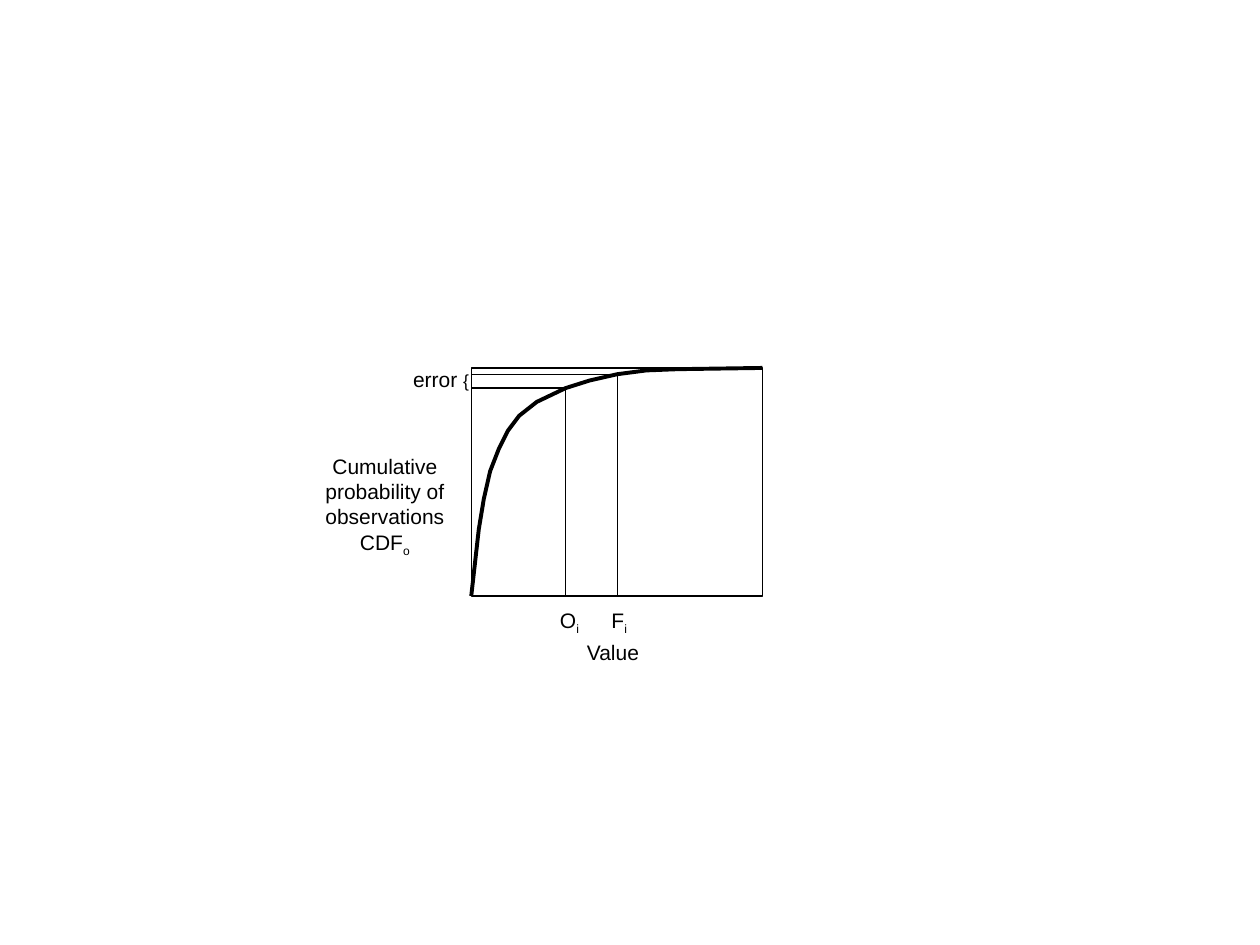
from lxml import etree
from pptx import Presentation
from pptx.dml.color import RGBColor
from pptx.enum.shapes import MSO_CONNECTOR, MSO_SHAPE
from pptx.enum.text import MSO_AUTO_SIZE, PP_ALIGN
from pptx.oxml.ns import qn
from pptx.util import Inches, Pt

LEFT, TOP, RIGHT, BOTTOM = 3.74, 2.92, 6.05, 4.73
OBSERVED, FORECAST = (4.49, 3.08), (4.9, 2.97)
BLACK = "000000"


def rgb(color):
    return RGBColor.from_string(color)


def add_text(box, paragraphs, align=PP_ALIGN.CENTER, wrap=False):
    """Each paragraph is a list of (text, size, baseline offset) runs."""
    tf = slide.shapes.add_textbox(*map(Inches, box)).text_frame
    tf.word_wrap = wrap
    tf.auto_size = MSO_AUTO_SIZE.SHAPE_TO_FIT_TEXT
    for i, runs in enumerate(paragraphs):
        p = tf.paragraphs[0] if i == 0 else tf.add_paragraph()
        p.alignment = align
        for text, size, baseline in runs:
            r = p.add_run()
            r.text = text
            r.font.name = "Arial"
            r.font.size = Pt(size)
            r.font.color.rgb = rgb(BLACK)
            if baseline:
                r.font._element.set("baseline", str(baseline * 1000))


prs = Presentation()
prs.slide_width, prs.slide_height = Inches(10), Inches(7.5)
slide = prs.slides.add_slide(prs.slide_layouts[6])

# Plot frame and cumulative distribution curve
frame = slide.shapes.add_shape(
    MSO_SHAPE.RECTANGLE, Inches(LEFT), Inches(TOP),
    Inches(RIGHT - LEFT), Inches(BOTTOM - TOP))

points = [(LEFT, BOTTOM), (3.8, 4.2), (3.84, 3.96), (3.89, 3.74), (3.96, 3.56),
          (4.03, 3.42), (4.12, 3.3), (4.26, 3.19), OBSERVED, (4.68, 3.02),
          FORECAST, (5.13, 2.94), (5.38, 2.93), (RIGHT, TOP)]
points = [(Inches(x), Inches(y)) for x, y in points]
builder = slide.shapes.build_freeform(*points[0])
builder.add_line_segments(points[1:], close=False)
curve = builder.convert_to_shape()

for sp, width in ((frame, 0.75), (curve, 2.25)):
    sp.shadow.inherit = False
    sp.fill.background()
    sp.line.color.rgb = rgb(BLACK)
    sp.line.width = Pt(width)

# Guides from the curve to both axes
for x, y in (OBSERVED, FORECAST):
    for end_x, end_y in ((x, BOTTOM), (LEFT, y)):
        guide = slide.shapes.add_connector(
            MSO_CONNECTOR.STRAIGHT, Inches(x), Inches(y),
            Inches(end_x), Inches(end_y))
        guide.line.color.rgb = rgb(BLACK)
        guide.line.width = Pt(0.75)
        etree.SubElement(guide._element.spPr, qn("a:effectLst"))

# Labels
add_text((4.34, 4.77, 0.36, 0.3), [[("O", 12, 0), ("i", 12, -25)]])
add_text((4.75, 4.77, 0.33, 0.3), [[("F", 12, 0), ("i", 12, -25)]])
add_text((2.42, 3.55, 1.27, 0.9),
         [[("Cumulative", 12, 0)],
          [("probability of observations", 12, 0)],
          [("CDF", 12, 0), ("o", 12, -25)]], wrap=True)
add_text((4.56, 5.03, 0.63, 0.3), [[("Value", 12, 0)]], align=PP_ALIGN.LEFT)
add_text((3.18, 2.86, 0.65, 0.3), [[("error ", 12, 0), ("{", 10, 0)]],
         align=PP_ALIGN.LEFT)

prs.save("out.pptx")
